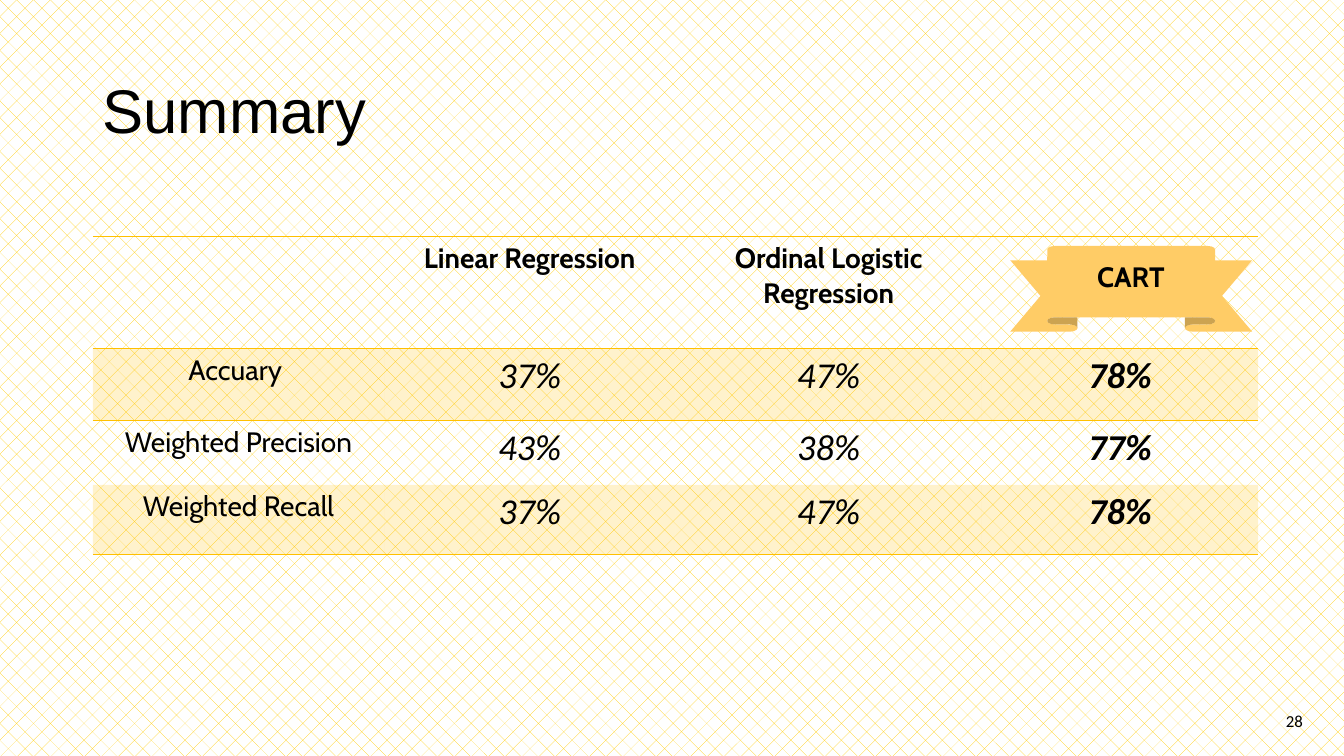
import lxml.etree
import pptx
import pptx.dml.color
import pptx.enum.dml
import pptx.enum.shapes
import pptx.enum.text
import pptx.oxml.ns
import pptx.util
from pptx.util import Inches

ALIGN = pptx.enum.text.PP_ALIGN
MIDDLE = pptx.enum.text.MSO_ANCHOR.MIDDLE
TOP = pptx.enum.text.MSO_ANCHOR.TOP
GOLD = "FFC000"
NO_STYLE = "{2D5ABB26-0587-4C30-8999-92F81FD0307C}"

COLUMN_WIDTHS = [2.89, 2.89, 3.04, 2.74]
ROW_HEIGHTS = [1.11, 0.71, 0.64, 0.69]
RESULTS = [
    ["", "Linear Regression", "Ordinal Logistic Regression", ""],
    ["Accuary\u00a0", "37%", "47%", "78%"],
    ["Weighted Precision", "43%", "38%", "77%"],
    ["Weighted Recall", "37%", "47%", "78%"],
]


def color(hex_string):
    return pptx.dml.color.RGBColor.from_string(hex_string)


def add_child(parent, tag, **attributes):
    return lxml.etree.SubElement(parent, pptx.oxml.ns.qn(tag), **attributes)


def write(frame, text, font, size, align, bold=False, italic=False):
    paragraph = frame.paragraphs[0]
    paragraph.text = text
    paragraph.alignment = align
    paragraph.font.name = font
    paragraph.font.size = pptx.util.Pt(size)
    paragraph.font.bold = bold
    paragraph.font.italic = italic
    paragraph.font.color.rgb = color("000000")
    return paragraph


def add_text(slide, box, text, font, size, align, anchor=MIDDLE, bold=False):
    frame = slide.shapes.add_textbox(*map(Inches, box)).text_frame
    frame.word_wrap = True
    frame.vertical_anchor = anchor
    return write(frame, text, font, size, align, bold)


def paint_background(slide):
    fill = slide.background.fill
    fill.patterned()
    fill.pattern = pptx.enum.dml.MSO_PATTERN.DOTTED_DIAMOND
    fill.fore_color.rgb = color("FFCC00")
    fill.back_color.rgb = color("FFFFFF")


def tint(cell):
    cell.fill.solid()
    cell.fill.fore_color.rgb = color(GOLD)
    gold = cell._tc.tcPr.find(".//" + pptx.oxml.ns.qn("a:srgbClr"))
    add_child(gold, "a:alpha", val="20000")


def rule(cell, sides):
    properties = cell._tc.get_or_add_tcPr()
    for position, side in enumerate(sides):
        line = add_child(properties, "a:ln" + side, w="12700")
        add_child(add_child(line, "a:solidFill"), "a:srgbClr", val=GOLD)
        properties.insert(position, line)  # borders come before the fill


def add_results_table(slide):
    frame = slide.shapes.add_table(
        len(ROW_HEIGHTS), len(COLUMN_WIDTHS), Inches(0.92), Inches(2.35),
        Inches(sum(COLUMN_WIDTHS)), Inches(sum(ROW_HEIGHTS)))
    table = frame.table
    table._tbl.tblPr.find(pptx.oxml.ns.qn("a:tableStyleId")).text = NO_STYLE
    for column, width in zip(table.columns, COLUMN_WIDTHS):
        column.width = Inches(width)
    last_row, last_column = len(ROW_HEIGHTS) - 1, len(COLUMN_WIDTHS) - 1
    for r, texts in enumerate(RESULTS):
        table.rows[r].height = Inches(ROW_HEIGHTS[r])
        for c, text in enumerate(texts):
            cell = table.cell(r, c)
            is_score = r > 0 and c > 0
            font, size = ("Calibri", 26) if is_score else ("Cabin", 20)
            if text:
                write(cell.text_frame, text, font, size, ALIGN.CENTER,
                      bold=r == 0 or c == last_column, italic=is_score)
            # Alternate rows are tinted
            if r % 2:
                tint(cell)
            else:
                cell.fill.background()
            # Rules frame the header and close the table
            if r == 0:
                rule(cell, "TB")
            elif r == 1:
                rule(cell, "T")
            elif r == last_row:
                rule(cell, "B")


def add_ribbon(slide):
    ribbon = slide.shapes.add_shape(
        pptx.enum.shapes.MSO_SHAPE.UP_RIBBON,
        Inches(10.02), Inches(2.44), Inches(2.4), Inches(0.85))
    ribbon.adjustments[0] = 0.167
    ribbon.adjustments[1] = 0.694
    ribbon.shadow.inherit = False
    ribbon.fill.solid()
    ribbon.fill.fore_color.rgb = color("FFCC66")
    ribbon.line.fill.background()


def main():
    presentation = pptx.Presentation()
    presentation.slide_width = Inches(13.33)
    presentation.slide_height = Inches(7.5)
    slide = presentation.slides.add_slide(presentation.slide_layouts[6])
    paint_background(slide)

    # Title and page number
    title = add_text(slide, (0.92, 0.4, 11.5, 1.45), "Summary", "Arial", 44, ALIGN.LEFT)
    title.line_spacing = 0.9
    add_text(slide, (10.02, 6.95, 3, 0.4), "28", "Calibri", 12, ALIGN.RIGHT)

    # Model comparison, with the winner on a ribbon
    add_results_table(slide)
    add_ribbon(slide)
    add_text(slide, (10.72, 2.53, 0.99, 0.44), "CART", "Cabin", 20,
             ALIGN.CENTER, TOP, bold=True)

    presentation.save("out.pptx")


if __name__ == "__main__":
    main()
